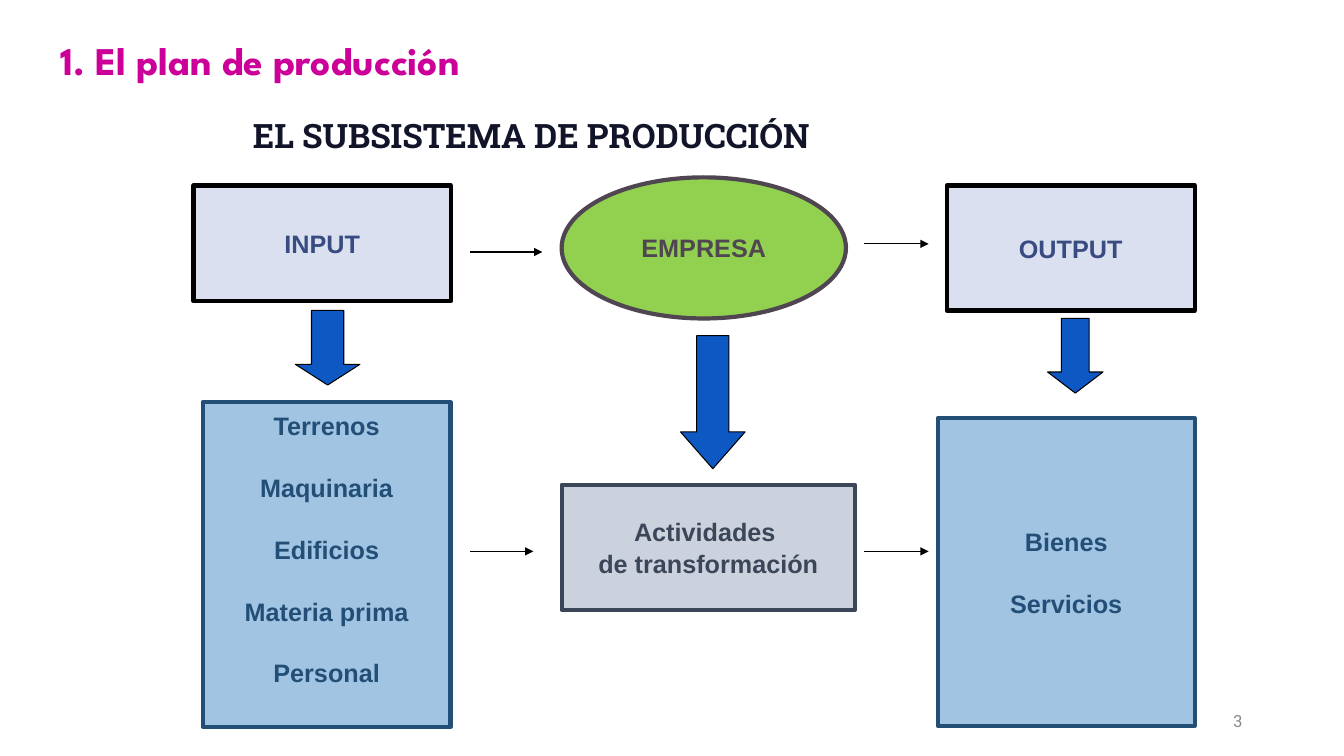
from lxml.etree import SubElement
from pptx import Presentation
from pptx.dml.color import RGBColor
from pptx.enum.shapes import MSO_CONNECTOR, MSO_SHAPE as SHAPE
from pptx.enum.text import MSO_ANCHOR as ANCHOR, PP_ALIGN as ALIGN
from pptx.oxml.ns import qn
from pptx.util import Inches, Pt

BLACK = RGBColor(0x00, 0x00, 0x00)
NAVY = RGBColor(0x12, 0x14, 0x29)
GREY = RGBColor(0x8C, 0x8C, 0x8C)
MAGENTA = RGBColor(0xCC, 0x00, 0x99)
LAVENDER = RGBColor(0xDA, 0xE0, 0xEF)
INDIGO = RGBColor(0x38, 0x4C, 0x81)
GREEN = RGBColor(0x92, 0xD0, 0x50)
PLUM = RGBColor(0x50, 0x46, 0x52)
SKY = RGBColor(0xA1, 0xC4, 0xE3)
STEEL = RGBColor(0x23, 0x4F, 0x77)
SILVER = RGBColor(0xCC, 0xD2, 0xDD)
SLATE = RGBColor(0x3B, 0x47, 0x59)
BLUE = RGBColor(0x0E, 0x58, 0xC4)

TITLE = {"name": "League Spartan", "size": Pt(28), "bold": True}
SUBTITLE = {"name": "Roboto Slab", "size": Pt(24), "bold": True}
NUMBER = {"name": "Roboto Slab", "size": Pt(12), "bold": False}
LABEL = {"name": "Arial", "size": Pt(18), "bold": True}

TEXTS = [
    ("EL SUBSISTEMA DE PRODUCCIÓN", (2.41, 1.06, 6.37, 0.55), SUBTITLE, NAVY, ALIGN.LEFT, ANCHOR.MIDDLE),
    ("3", (9.42, 6.95, 3, 0.4), NUMBER, GREY, ALIGN.RIGHT, ANCHOR.MIDDLE),
    ("1. El plan de producción", (0.5, 0.31, 4.84, 0.57), TITLE, MAGENTA, ALIGN.LEFT, ANCHOR.TOP),
]

INPUTS = ["Terrenos", "Maquinaria", "Edificios", "Materia prima", "Personal"]
LIST_GAP = 22.5
BOXES = [
    (["INPUT"], SHAPE.RECTANGLE, (1.92, 1.84, 2.55, 1.15), LAVENDER, BLACK, INDIGO, 0, 0.05),
    (["EMPRESA"], SHAPE.OVAL, (5.57, 1.76, 2.82, 1.4), GREEN, PLUM, PLUM, 0, 0.05),
    (["OUTPUT"], SHAPE.RECTANGLE, (9.39, 1.84, 2.46, 1.24), LAVENDER, BLACK, INDIGO, 0, 0.05),
    (INPUTS, SHAPE.RECTANGLE, (2.01, 3.99, 2.46, 3.22), SKY, STEEL, STEEL, LIST_GAP, 0.35),
    (["Actividades ", "de transformación"], SHAPE.RECTANGLE, (5.57, 4.81, 2.91, 1.24),
     SILVER, SLATE, SLATE, 1, 0.05),
    (["Bienes", "Servicios"], SHAPE.RECTANGLE, (9.3, 4.15, 2.55, 3.05), SKY, STEEL, STEEL, LIST_GAP, 0.05),
]

FLOWS = [(4.66, 5.38, 2.5), (8.57, 9.21, 2.42), (4.66, 5.29, 5.47), (8.57, 9.21, 5.47)]
BLOCK_ARROWS = [
    ((2.93, 3.08, 0.64, 0.74), 0.32),
    ((6.75, 3.33, 0.64, 1.32), 0.57),
    ((10.39, 3.16, 0.55, 0.74), 0.38),
]


def write(tf, lines, font, color, align, anchor, gap=0):
    tf.word_wrap = True
    tf.vertical_anchor = anchor
    for i, line in enumerate(lines):
        p = tf.paragraphs[0] if i == 0 else tf.add_paragraph()
        p.alignment = align
        p.space_before = Pt(gap if i else 0)
        r = p.add_run()
        r.text = line
        for key, value in font.items():
            setattr(r.font, key, value)
        r.font.color.rgb = color


def add_block(s, kind, at, fill, line, width):
    sp = s.shapes.add_shape(kind, *map(Inches, at))
    sp.shadow.inherit = False
    sp.fill.solid()
    sp.fill.fore_color.rgb = fill
    sp.line.color.rgb = line
    sp.line.width = Pt(width)
    return sp


def add_flow(s, x1, x2, y):
    c = s.shapes.add_connector(MSO_CONNECTOR.STRAIGHT, *map(Inches, (x1, y, x2, y)))
    c.line.color.rgb = BLACK
    c.line.width = Pt(0.75)
    SubElement(c.line._get_or_add_ln(), qn("a:tailEnd"), type="triangle")
    SubElement(c._element.spPr, qn("a:effectLst"))


def main():
    prs = Presentation()
    prs.slide_width, prs.slide_height = Inches(13.33), Inches(7.5)
    s = prs.slides.add_slide(prs.slide_layouts[6])

    for text, at, font, color, align, anchor in TEXTS:
        tf = s.shapes.add_textbox(*map(Inches, at)).text_frame
        write(tf, [text], font, color, align, anchor)

    for lines, kind, at, fill, line, color, gap, bottom in BOXES:
        tf = add_block(s, kind, at, fill, line, 3).text_frame
        tf.margin_bottom = Inches(bottom)
        write(tf, lines, LABEL, color, ALIGN.CENTER, ANCHOR.MIDDLE, gap)

    for flow in FLOWS:
        add_flow(s, *flow)

    for at, head in BLOCK_ARROWS:
        sp = add_block(s, SHAPE.DOWN_ARROW, at, BLUE, BLACK, 0.75)
        sp.adjustments[0] = 0.5
        sp.adjustments[1] = head

    prs.save("out.pptx")


if __name__ == "__main__":
    main()
